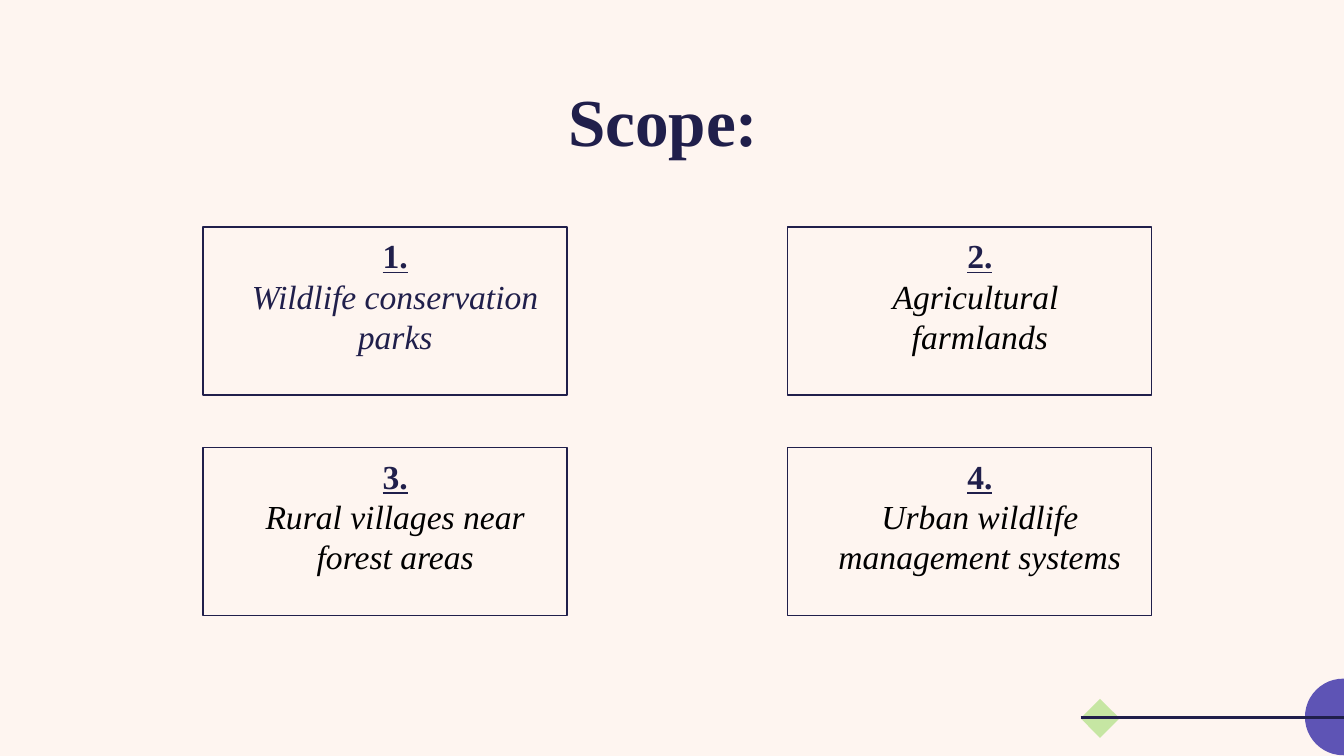
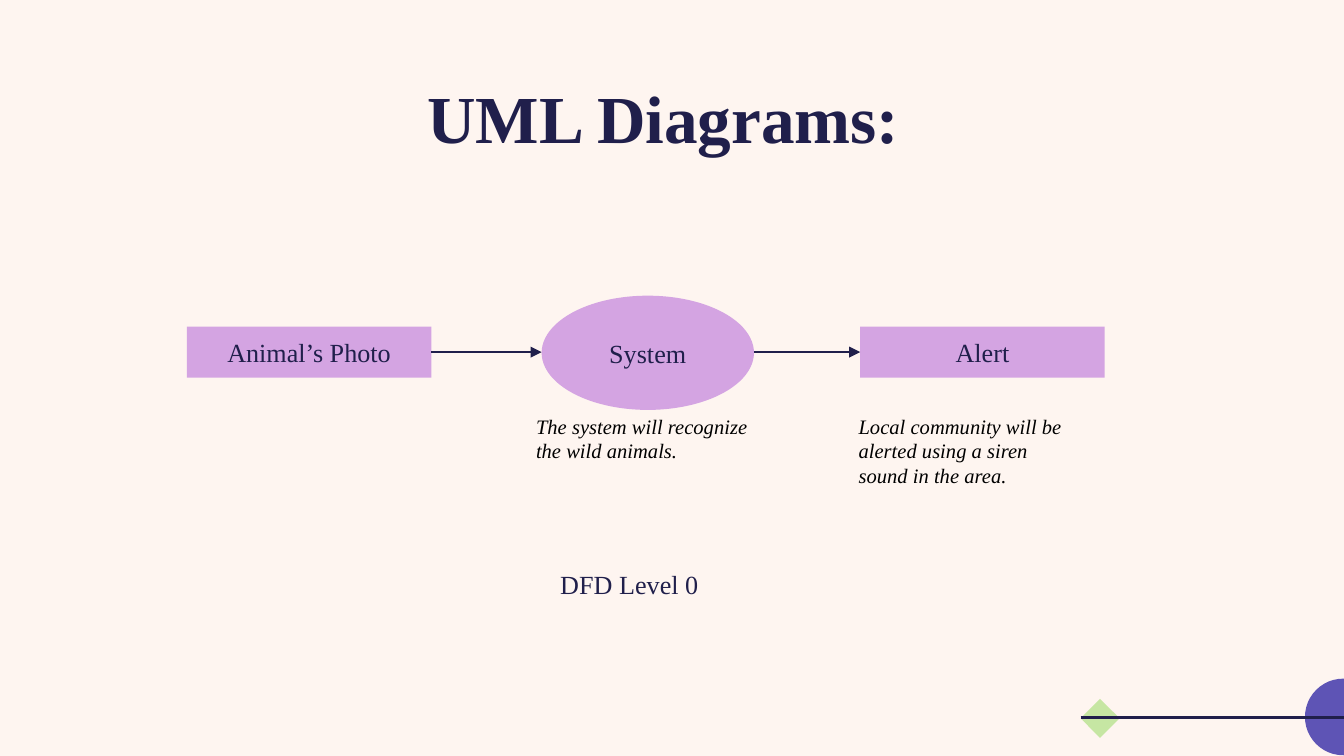
import dataclasses
import typing

import lxml.etree
import pptx
import pptx.dml.color
import pptx.enum.shapes
import pptx.enum.text
import pptx.oxml.ns
import pptx.util

Inches = pptx.util.Inches
Shape = pptx.enum.shapes.MSO_SHAPE
Align = pptx.enum.text.PP_ALIGN
Anchor = pptx.enum.text.MSO_ANCHOR

COLORS = {
    "page": "FEF5F0",
    "navy": "201F4B",
    "black": "000000",
    "lilac": "D4A4E2",
    "violet": "5E54B5",
    "green": "C6E6A3",
}
FONT = "Times New Roman"

# Font values for each kind of text
TITLE = {"size": pptx.util.Pt(36), "bold": True}
NUMBER = {"size": pptx.util.Pt(18), "bold": True, "underline": True}
TOPIC = {"size": pptx.util.Pt(18), "italic": True}
LABEL = {"size": pptx.util.Pt(14)}
NOTE = {"size": pptx.util.Pt(11), "italic": True}


@dataclasses.dataclass
class Box:
    left: float
    top: float
    width: float
    height: float

    def lengths(self) -> list[int]:
        return [Inches(v) for v in (self.left, self.top, self.width, self.height)]


@dataclasses.dataclass
class Card:
    lines: list[str]
    color: str = "black"


@dataclasses.dataclass
class Node:
    text: str
    box: Box
    kind: typing.Any = Shape.RECTANGLE


@dataclasses.dataclass
class Remark:
    text: str
    box: Box


def tint(name: str) -> pptx.dml.color.RGBColor:
    return pptx.dml.color.RGBColor.from_string(COLORS[name])


def add_line(frame, text: str, style: dict, color: str, align=Align.CENTER) -> None:
    """Write one paragraph, using the frame's empty first one if it is free."""
    para = frame.paragraphs[0]
    if para.runs:
        para = frame.add_paragraph()
    para.alignment = align
    run = para.add_run()
    run.text = text
    for key, value in {"name": FONT, **style}.items():
        setattr(run.font, key, value)
    run.font.color.rgb = tint(color)


def set_frame(frame, anchor, left=0.1, top=0.05, right=0.1, bottom=0.05) -> None:
    frame.word_wrap = True
    frame.vertical_anchor = anchor
    sides = {"left": left, "top": top, "right": right, "bottom": bottom}
    for side, value in sides.items():
        setattr(frame, f"margin_{side}", Inches(value))


def add_shape(slide, kind, box: Box, fill: str = "", edge: str = ""):
    shape = slide.shapes.add_shape(kind, *box.lengths())
    shape.shadow.inherit = False
    if fill:
        shape.fill.solid()
        shape.fill.fore_color.rgb = tint(fill)
    else:
        shape.fill.background()
    if edge:
        shape.line.color.rgb = tint(edge)
        shape.line.width = pptx.util.Pt(0.75)
    else:
        shape.line.fill.background()
    return shape


def add_text(slide, box: Box, text: str, style: dict, color: str = "navy",
             align=Align.LEFT, anchor=Anchor.TOP, pad: float = 0.05) -> None:
    frame = slide.shapes.add_textbox(*box.lengths()).text_frame
    set_frame(frame, anchor, top=pad, bottom=pad)
    add_line(frame, text, style, color, align)


def add_rule(slide, start: float, end: float, height: float,
             width: float, arrow: bool = False):
    """Draw a level line, with an arrowhead at its end if asked."""
    rule = slide.shapes.add_connector(
        pptx.enum.shapes.MSO_CONNECTOR.STRAIGHT,
        Inches(start), Inches(height), Inches(end), Inches(height))
    rule.line.color.rgb = tint("navy")
    rule.line.width = pptx.util.Pt(width)
    name = pptx.oxml.ns.qn
    if arrow:
        tail = lxml.etree.SubElement(rule.line._get_or_add_ln(), name("a:tailEnd"))
        tail.set("type", "triangle")
    lxml.etree.SubElement(rule._element.spPr, name("a:effectLst"))
    return rule


def add_slide(deck, title: str, top: float):
    """Start a slide with the shared ground, corner motif and title."""
    slide = deck.slides.add_slide(deck.slide_layouts[6])
    ground = slide.background.fill
    ground.solid()
    ground.fore_color.rgb = tint("page")
    add_shape(slide, Shape.OVAL, Box(9.71, 5.05, 0.57, 0.57), "violet")
    add_shape(slide, Shape.DIAMOND, Box(8.04, 5.2, 0.29, 0.29), "green")
    add_rule(slide, 8.04, 10.29, 5.34, 1.5)
    add_text(slide, Box(0.89, top, 8.09, 0.92), title, TITLE,
             align=Align.CENTER, anchor=Anchor.BOTTOM, pad=0.1)
    return slide


def draw_scope(deck) -> None:
    slide = add_slide(deck, "Scope:", 0.37)
    cards = [
        Card(["Wildlife conservation parks"], "navy"),
        Card(["Agricultural ", "farmlands"]),
        Card(["Rural villages near forest areas"]),
        Card(["Urban wildlife management systems"]),
    ]
    # Two by two grid of numbered cards
    for index, card in enumerate(cards):
        row, col = divmod(index, 2)
        box = Box(1.51 + col * 4.35, 1.69 + row * 1.64, 2.71, 1.25)
        frame = add_shape(slide, Shape.RECTANGLE, box, edge="navy").text_frame
        set_frame(frame, Anchor.TOP, left=0.25, top=0.06)
        add_line(frame, f"{index + 1}.", NUMBER, "navy")
        for line in card.lines:
            add_line(frame, line, TOPIC, card.color)


def draw_flow(deck) -> None:
    slide = add_slide(deck, "UML Diagrams:", 0.35)

    # Steps from left to right
    nodes = [
        Node("Animal’s Photo", Box(1.39, 2.43, 1.82, 0.38)),
        Node("System", Box(4.03, 2.2, 1.58, 0.85), Shape.OVAL),
        Node("Alert", Box(6.4, 2.43, 1.82, 0.38)),
    ]
    shapes = []
    for node in nodes:
        shape = add_shape(slide, node.kind, node.box, "lilac")
        set_frame(shape.text_frame, Anchor.MIDDLE)
        add_line(shape.text_frame, node.text, LABEL, "navy")
        shapes.append(shape)

    # Arrows between neighbours, joined where they meet a rectangle
    for index in range(len(nodes) - 1):
        first, second = nodes[index:index + 2]
        arrow = add_rule(slide, first.box.left + first.box.width,
                         second.box.left, 2.62, 0.75, arrow=True)
        if first.kind == Shape.RECTANGLE:
            arrow.begin_connect(shapes[index], 3)
        if second.kind == Shape.RECTANGLE:
            arrow.end_connect(shapes[index + 1], 1)

    # Remarks below the steps, and the caption
    remarks = [
        Remark("The system will recognize the wild animals.",
               Box(3.89, 3.03, 1.84, 0.47)),
        Remark("Local community will be alerted using a siren sound in the area.",
               Box(6.29, 3.03, 1.84, 0.66)),
    ]
    for remark in remarks:
        add_text(slide, remark.box, remark.text, NOTE, "black")
    add_text(slide, Box(4.07, 4.13, 1.61, 0.47), "DFD Level 0", LABEL,
             align=Align.JUSTIFY, pad=0.1)


def main() -> None:
    deck = pptx.Presentation()
    # Widescreen page, 16 to 9
    deck.slide_width = Inches(10)
    deck.slide_height = Inches(10) * 9 // 16
    draw_scope(deck)
    draw_flow(deck)
    deck.save("out.pptx")


if __name__ == "__main__":
    main()
